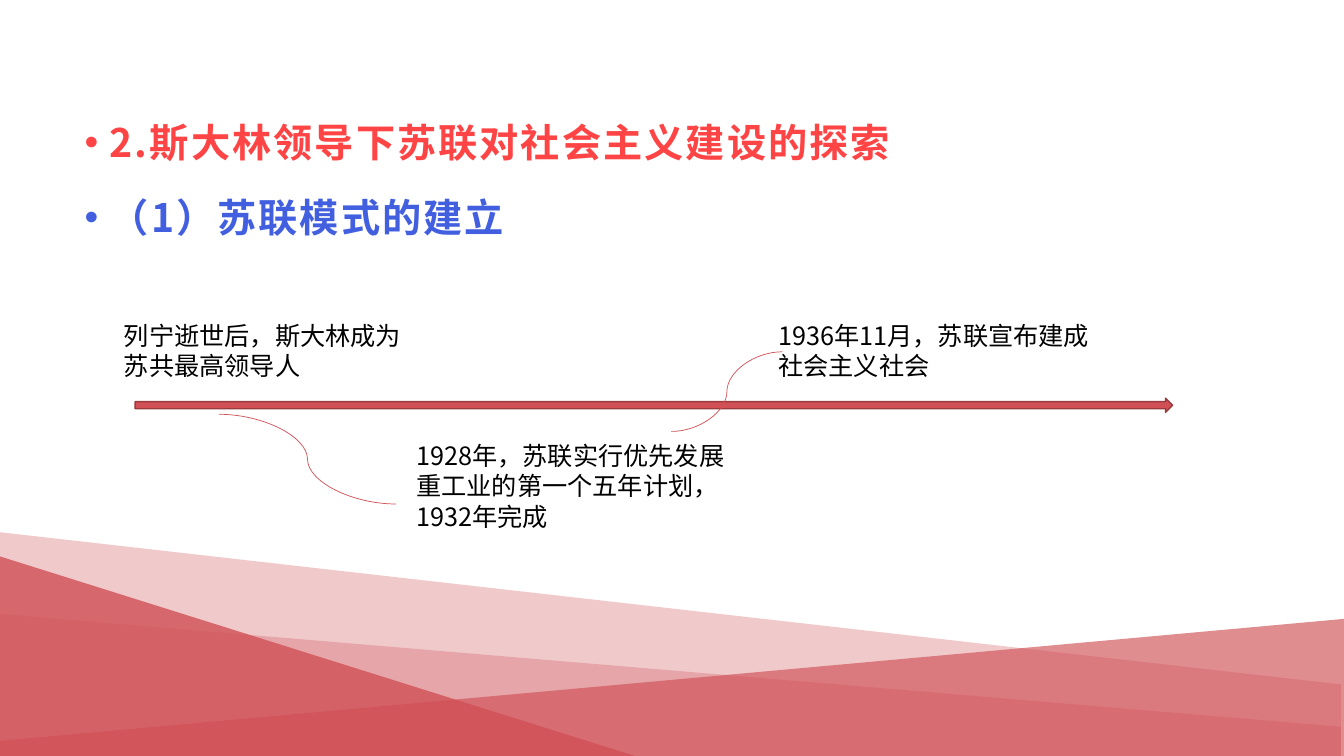
from lxml.etree import SubElement
from pptx import Presentation
from pptx.dml.color import RGBColor
from pptx.enum.shapes import MSO_CONNECTOR as LINK, MSO_SHAPE as SHAPE
from pptx.enum.text import MSO_AUTO_SIZE as FIT
from pptx.oxml.ns import qn
from pptx.util import Inches, Pt

RED = RGBColor(0xD0, 0x50, 0x56)
PINK = RGBColor(0xE3, 0x96, 0x9A)
DARK_RED = RGBColor(0x9A, 0x3B, 0x40)
HEADING_RED = RGBColor(0xFE, 0x44, 0x44)
HEADING_BLUE = RGBColor(0x42, 0x5F, 0xDF)
BLACK = RGBColor(0, 0, 0)
FONT = "Noto Sans CJK SC"


def fill_translucent(shape, color, opacity):
    shape.shadow.inherit = False
    shape.fill.solid()
    shape.fill.fore_color.rgb = color
    shape.line.fill.background()
    color_node = shape._element.spPr.find(qn("a:solidFill"))[0]
    SubElement(color_node, qn("a:alpha"), val=str(opacity * 1000))


def style_run(run, size, color, bold=False):
    for name, value in {"size": Pt(size), "bold": bold, "name": FONT}.items():
        setattr(run.font, name, value)
    run.font.color.rgb = color
    SubElement(run._r.get_or_add_rPr(), qn("a:ea"), typeface=FONT)


prs = Presentation()
prs.slide_width, prs.slide_height = Inches(13.33), Inches(7.5)
slide = prs.slides.add_slide(prs.slide_layouts[6])
shapes = slide.shapes

# Overlapping bands along the bottom: right edge, left top, right top, colour, opacity
bands = [
    (13.3, 5.28, 6.79, RED, 30),
    (13.3, 6.09, 7.21, PINK, 70),
    (13.33, 7.35, 6.14, RED, 65),
]
for right, left_top, right_top, color, opacity in bands:
    outline = shapes.build_freeform(Inches(right), Inches(right_top), scale=1.0)
    corners = [(right, 7.5), (0, 7.5), (0, left_top)]
    outline.add_line_segments([(Inches(x), Inches(y)) for x, y in corners], close=True)
    fill_translucent(outline.convert_to_shape(), color, opacity)

wedge = shapes.add_shape(SHAPE.ISOSCELES_TRIANGLE, Inches(2.17), Inches(3.35),
                         Inches(1.99), Inches(6.33))
wedge.adjustments[0] = 1
wedge.rotation = 90
fill_translucent(wedge, RED, 80)

# Headings
headings = shapes.add_textbox(Inches(0.73), Inches(1.04), Inches(11.87), Inches(1.53)).text_frame
margins = {"margin_left": 0.11, "margin_top": 0, "margin_right": 0.09, "margin_bottom": 0}
for side, inches in margins.items():
    setattr(headings, side, Inches(inches))
headings.word_wrap = True
headings.auto_size = FIT.TEXT_TO_FIT_SHAPE
heading_lines = [
    ("2.斯大林领导下苏联对社会主义建设的探索", HEADING_RED),
    ("（1）苏联模式的建立", HEADING_BLUE),
]
for i, (text, color) in enumerate(heading_lines):
    heading = headings.add_paragraph() if i else headings.paragraphs[0]
    heading.line_spacing = 1.3
    heading.space_after = Pt(10)
    props = heading._p.get_or_add_pPr()
    props.set("marL", str(Inches(0.25)))
    props.set("indent", str(-Inches(0.25)))
    SubElement(props, qn("a:buFont"), typeface="Arial")
    SubElement(props, qn("a:buChar"), char="•")
    run = heading.add_run()
    run.text = text
    style_run(run, 28, color, bold=True)
    run._r.rPr.set("spc", "150")

# Timeline
timeline = shapes.add_shape(SHAPE.RIGHT_ARROW, Inches(1.34), Inches(3.95),
                            Inches(10.29), Inches(0.14))
timeline.shadow.inherit = False
timeline.fill.solid()
timeline.fill.fore_color.rgb = RED
timeline.line.color.rgb = DARK_RED
timeline.line.width = Pt(1)

events = [
    (1.13, 3.13, 3.08, 0.71, "列宁逝世后，斯大林成为苏共最高领导人"),
    (4.03, 4.32, 3.27, 1.01, "1928年，苏联实行优先发展重工业的第一个五年计划，1932年完成"),
    (7.62, 3.13, 3.49, 0.71, "1936年11月，苏联宣布建成社会主义社会"),
]
for left, top, width, height, text in events:
    event = shapes.add_textbox(Inches(left), Inches(top), Inches(width), Inches(height)).text_frame
    event.word_wrap = True
    event.auto_size = FIT.SHAPE_TO_FIT_TEXT
    run = event.paragraphs[0].add_run()
    run.text = text
    style_run(run, 18, BLACK)

for x1, y1, x2, y2 in [(2.17, 4.11, 3.93, 5), (6.66, 4.28, 7.76, 3.49)]:
    curve = shapes.add_connector(LINK.CURVE, Inches(x1), Inches(y1), Inches(x2), Inches(y2))
    curve.line.color.rgb = RED
    curve.line.width = Pt(0.5)
    SubElement(curve._element.spPr, qn("a:effectLst"))

prs.save("out.pptx")
